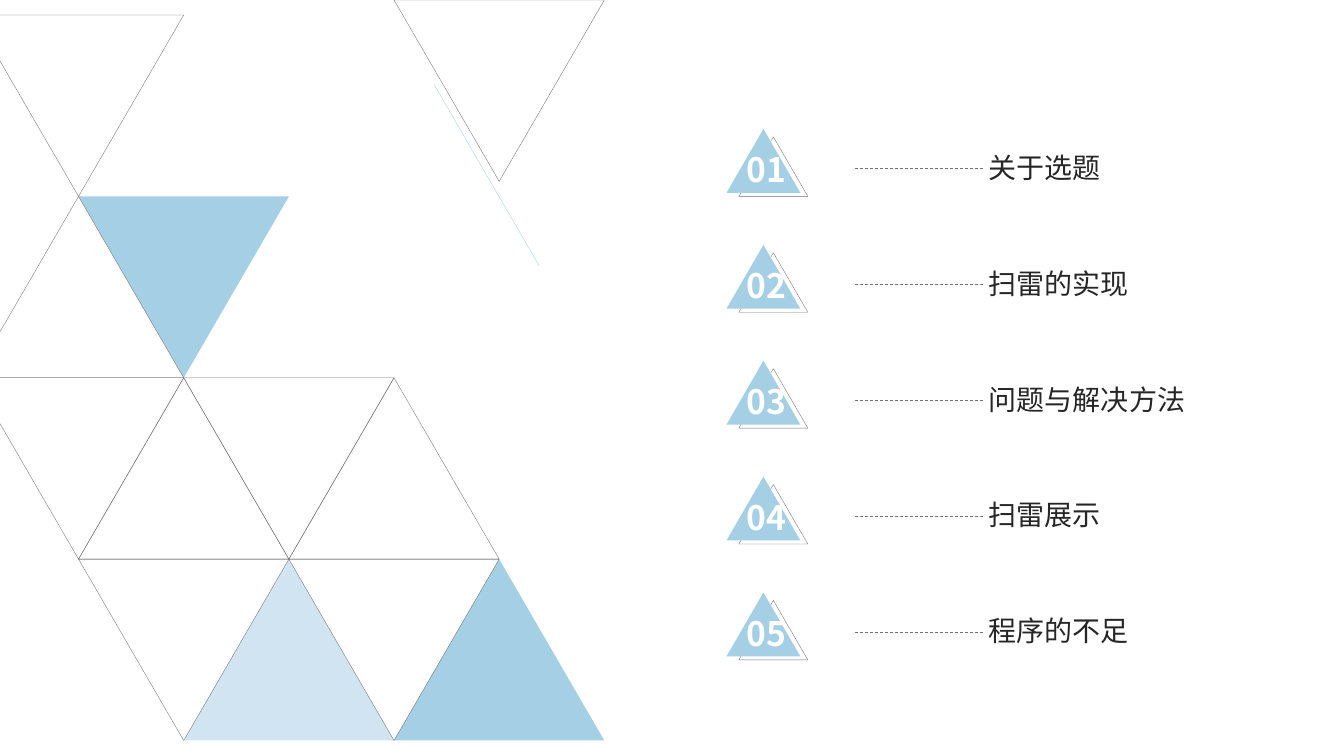
from lxml import etree
from pptx import Presentation
from pptx.dml.color import RGBColor
from pptx.enum.dml import MSO_LINE
from pptx.enum.shapes import MSO_CONNECTOR, MSO_SHAPE
from pptx.enum.text import MSO_ANCHOR, MSO_AUTO_SIZE, PP_ALIGN
from pptx.oxml.ns import qn
from pptx.util import Cm, Pt

TRIANGLE = MSO_SHAPE.ISOSCELES_TRIANGLE
STRAIGHT = MSO_CONNECTOR.STRAIGHT
DASH = MSO_LINE.DASH
TOP, MIDDLE = MSO_ANCHOR.TOP, MSO_ANCHOR.MIDDLE
LEFT, JUSTIFY = PP_ALIGN.LEFT, PP_ALIGN.JUSTIFY
NO_FIT, GROW = MSO_AUTO_SIZE.NONE, MSO_AUTO_SIZE.SHAPE_TO_FIT_TEXT

FONT = "Noto Sans CJK SC"
COLORS = {"blue": "A5CFE5", "gray": "767171", "ink": "262626", "white": "FFFFFF"}

GRID_LEFT, GRID_TOP = 1.98, 0.38
HALF_SIDE, ROW_HEIGHT = 2.65, 4.57
CLIP_LEFT = -0.05

OUTLINED = [(1, 2, True), (0, 2, False), (2, 3, True), (0, 3, True), (2, 2, False)]
FILLED = [(1, 3, False, 52), (3, 3, False, 100), (0, 1, True, 100)]
CLIPPED = [(0, True), (1, False), (2, True)]

TOPICS = ["关于选题", "扫雷的实现", "问题与解决方法", "扫雷展示", "程序的不足"]
TOPIC_TOP, TOPIC_STEP = 3.25, 2.92


def color(name):
    """Return the named colour."""
    return RGBColor.from_string(COLORS[name])


def style_shape(shape, fill=None, opacity=100):
    """Give a shape a plain fill, or a hairline outline when it has none."""
    shape.shadow.inherit = False
    if fill is None:
        shape.fill.background()
        shape.line.color.rgb = color("gray")
        shape.line.width = Pt(0.25)
        return
    shape.fill.solid()
    shape.fill.fore_color.rgb = color(fill)
    shape.line.fill.background()
    if opacity < 100:
        tint = shape.fill._xPr.find(".//" + qn("a:srgbClr"))
        etree.SubElement(tint, qn("a:alpha"), val=str(opacity * 1000))


def add_triangle(page, left, top, width, height, down=False, **look):
    """Add a triangle that points up or down."""
    shape = page.shapes.add_shape(TRIANGLE, Cm(left), Cm(top), Cm(width), Cm(height))
    shape.rotation = 180 if down else 0
    style_shape(shape, **look)


def add_grid_triangle(page, column, row, down, **look):
    """Add a triangle at a place in the triangular grid."""
    add_triangle(page, GRID_LEFT + column * HALF_SIDE, GRID_TOP + row * ROW_HEIGHT,
                 2 * HALF_SIDE, ROW_HEIGHT, down, **look)


def add_clipped_triangle(page, row, down):
    """Add a grid triangle cut off at the left edge of the slide."""
    base, apex = GRID_TOP + row * ROW_HEIGHT, GRID_TOP + (row + 1) * ROW_HEIGHT
    if not down:
        base, apex = apex, base
    cut = apex + (base - apex) * (GRID_LEFT - CLIP_LEFT) / HALF_SIDE
    corners = [(GRID_LEFT + HALF_SIDE, base), (CLIP_LEFT, base), (CLIP_LEFT, cut), (GRID_LEFT, apex)]
    points = [(Cm(x), Cm(y)) for x, y in corners]
    builder = page.shapes.build_freeform(*points[0])
    builder.add_line_segments(points[1:], close=True)
    style_shape(builder.convert_to_shape())


def add_line(page, start, end, name, width, dash=None):
    """Add a straight line without shadow."""
    line = page.shapes.add_connector(STRAIGHT, *(Cm(value) for value in start + end))
    line.line.color.rgb = color(name)
    line.line.width = Pt(width)
    if dash is not None:
        line.line.dash_style = dash
    etree.SubElement(line._element.spPr, qn("a:effectLst"))


def add_text(page, text, left, top, width, height, *, size, name, bold=False,
             align=LEFT, anchor=TOP, fit=NO_FIT, inset=None):
    """Add a one-paragraph text box."""
    box = page.shapes.add_textbox(Cm(left), Cm(top), Cm(width), Cm(height))
    frame = box.text_frame
    frame.word_wrap = True
    frame.auto_size = fit
    frame.vertical_anchor = anchor
    if inset is not None:
        frame.margin_left = frame.margin_right = Cm(inset)
        frame.margin_top = frame.margin_bottom = Cm(inset)
    para = frame.paragraphs[0]
    para.alignment = align
    span = para.add_run()
    span.text = text
    span.font.size = Pt(size)
    span.font.bold = bold
    span.font.name = FONT
    span.font.color.rgb = color(name)
    etree.SubElement(span.font._element, qn("a:ea"), typeface=FONT)


def add_topic(page, number, topic, top):
    """Add a numbered triangle, its dashed leader and the topic."""
    add_triangle(page, 18.62, top + 0.2, 1.74, 1.5)
    add_triangle(page, 18.31, top, 1.86, 1.61, fill="blue")
    add_text(page, f"{number:02}", 18.57, top + 0.38, 1.74, 1.28,
             size=24, name="white", bold=True, fit=GROW)
    add_text(page, topic, 24.92, top + 0.32, 6.12, 1.28, size=20, name="ink",
             align=JUSTIFY, anchor=MIDDLE, inset=0)
    add_line(page, (21.54, top + 1), (24.76, top + 1), "gray", 0.5, DASH)


def main():
    """Build the contents slide."""
    deck = Presentation()
    deck.slide_width, deck.slide_height = Cm(33.87), Cm(19.05)
    page = deck.slides.add_slide(deck.slide_layouts[6])
    for column, row, down, opacity in FILLED:
        add_grid_triangle(page, column, row, down, fill="blue", opacity=opacity)
    for row, down in CLIPPED:
        add_clipped_triangle(page, row, down)
    for column, row, down in OUTLINED:
        add_grid_triangle(page, column, row, down)
    add_triangle(page, GRID_LEFT + 3 * HALF_SIDE, 0, 2 * HALF_SIDE, ROW_HEIGHT, down=True)
    add_line(page, (10.94, 2.13), (10.94 + HALF_SIDE, 2.13 + ROW_HEIGHT), "blue", 0.25)
    for index, topic in enumerate(TOPICS):
        add_topic(page, index + 1, topic, TOPIC_TOP + index * TOPIC_STEP)
    deck.save("out.pptx")


if __name__ == "__main__":
    main()
